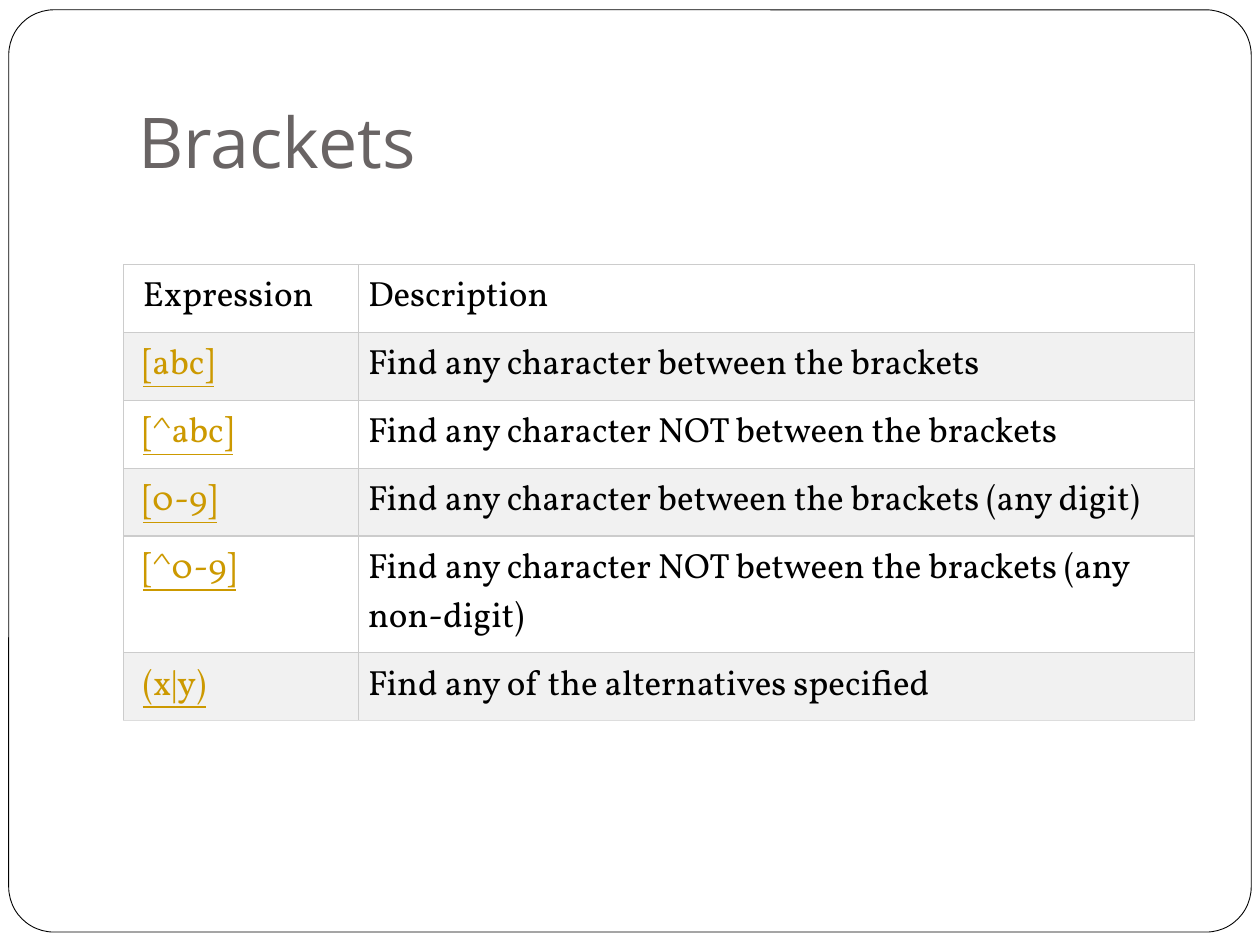
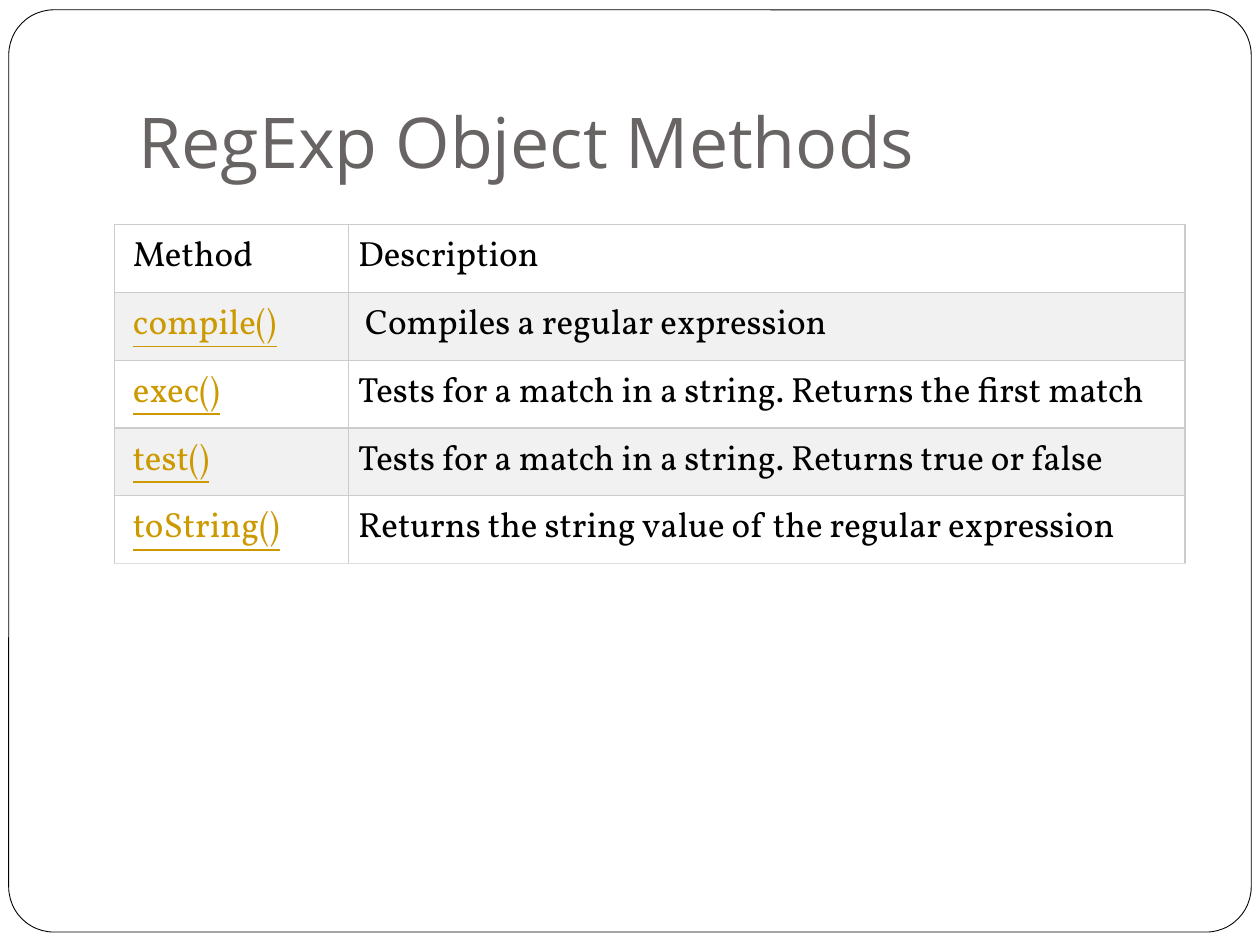
from dataclasses import dataclass

from lxml.etree import SubElement
from pptx import Presentation
from pptx.dml.color import RGBColor
from pptx.enum.shapes import MSO_SHAPE as Shape
from pptx.enum.text import MSO_ANCHOR as Anchor
from pptx.oxml.ns import qn
from pptx.slide import Slide
from pptx.table import _Cell as Cell
from pptx.text.text import TextFrame
from pptx.util import Pt

# Shared look
WHITE = RGBColor(0xFF, 0xFF, 0xFF)
BLACK = RGBColor(0x00, 0x00, 0x00)
TITLE_GREY = RGBColor(0x69, 0x64, 0x64)
LINK_GOLD = RGBColor(0xCC, 0x99, 0x00)
BAND_GREY = RGBColor(0xF1, 0xF1, 0xF1)
BORDER_GREY = RGBColor(0xCC, 0xCC, 0xCC)
BOTTOM_GREY = RGBColor(0xDD, 0xDD, 0xDD)
TITLE_FONT = "Open Sans"
BODY_FONT = "Vollkorn"

# Table measures in points
COLUMN_WIDTHS = (134, 478)
ROW_HEIGHT = 38.8
EXTRA_LINE_HEIGHT = 28
LINE_CAPACITY = 55  # characters that fit on one description line
CELL_INSET = 5.04
DESCRIPTION_INSET = 5.5
FIRST_COLUMN_INSET = 10.8
BORDER_WIDTH = 0.75


@dataclass(frozen=True)
class TextStyle:
    font: str
    size: float
    color: RGBColor
    underline: bool = False


@dataclass(frozen=True)
class ReferenceSlide:
    title: str
    table_left: float
    table_top: float
    header: tuple[str, str]
    entries: tuple[tuple[str, str], ...]


TITLE_STYLE = TextStyle(TITLE_FONT, 40, TITLE_GREY)
BODY_STYLE = TextStyle(BODY_FONT, 20, BLACK)
LINK_STYLE = TextStyle(BODY_FONT, 20, LINK_GOLD, underline=True)

SLIDES = (
    ReferenceSlide(
        "Brackets", 70.8, 151.2, ("Expression", "Description"),
        (
            ("[abc]", "Find any character between the brackets"),
            ("[^abc]", "Find any character NOT between the brackets"),
            ("[0-9]", "Find any character between the brackets (any digit)"),
            ("[^0-9]", "Find any character NOT between the brackets (any non-digit)"),
            ("(x|y)", "Find any of the alternatives specified"),
        ),
    ),
    ReferenceSlide(
        "RegExp Object Methods", 65.2, 128.2, ("Method", "Description"),
        (
            ("compile()", "\u00a0Compiles a regular expression"),
            ("exec()", "Tests for a match in a string. Returns the first match"),
            ("test()", "Tests for a match in a string. Returns true or false"),
            ("toString()", "Returns the string value of the regular expression"),
        ),
    ),
)


def add_text(frame: TextFrame, text: str, style: TextStyle) -> None:
    run = frame.paragraphs[0].add_run()
    run.text = text
    run.font.name = style.font
    run.font.size = Pt(style.size)
    run.font.color.rgb = style.color
    run.font.underline = style.underline


def add_frame(slide: Slide) -> None:
    frame = slide.shapes.add_shape(
        Shape.ROUNDED_RECTANGLE, Pt(5), Pt(5.6), Pt(710), Pt(527))
    frame.adjustments[0] = 0.049
    frame.shadow.inherit = False
    frame.fill.solid()
    frame.fill.fore_color.rgb = WHITE
    frame.line.color.rgb = BLACK
    frame.line.width = Pt(0.5)


def add_title(slide: Slide, title: str) -> None:
    frame = slide.shapes.add_textbox(Pt(72), Pt(21.6), Pt(612), Pt(90)).text_frame
    frame.word_wrap = True
    frame.vertical_anchor = Anchor.BOTTOM
    frame.margin_left = frame.margin_right = frame.margin_bottom = Pt(7.2)
    frame.margin_top = Pt(3.6)
    add_text(frame, title, TITLE_STYLE)


def set_borders(cell: Cell, bottom: RGBColor) -> None:
    properties = cell._tc.get_or_add_tcPr()
    colors = {"L": BORDER_GREY, "R": BORDER_GREY, "T": BORDER_GREY, "B": bottom}
    for side, color in colors.items():
        line = SubElement(properties, qn(f"a:ln{side}"), w=str(Pt(BORDER_WIDTH)))
        fill = SubElement(line, qn("a:solidFill"))
        SubElement(fill, qn("a:srgbClr"), val=str(color))


def row_height(description: str) -> float:
    extra_lines = len(description) // LINE_CAPACITY
    return ROW_HEIGHT + extra_lines * EXTRA_LINE_HEIGHT


def add_reference_table(slide: Slide, content: ReferenceSlide) -> None:
    rows = (content.header, *content.entries)
    heights = [row_height(description) for _, description in rows]
    table = slide.shapes.add_table(
        len(rows), len(COLUMN_WIDTHS),
        Pt(content.table_left), Pt(content.table_top),
        Pt(sum(COLUMN_WIDTHS)), Pt(sum(heights))).table
    table.first_row = table.horz_banding = False
    for column, width in zip(table.columns, COLUMN_WIDTHS):
        column.width = Pt(width)
    for table_row, height in zip(table.rows, heights):
        table_row.height = Pt(height)

    for row_index, row in enumerate(rows):
        is_last = row_index == len(rows) - 1
        for column_index, text in enumerate(row):
            cell = table.cell(row_index, column_index)
            is_first_column = column_index == 0
            # Borders come before the fill in the cell properties
            set_borders(cell, BOTTOM_GREY if is_last else BORDER_GREY)
            cell.fill.solid()
            cell.fill.fore_color.rgb = BAND_GREY if row_index % 2 else WHITE
            cell.margin_top = cell.margin_right = cell.margin_bottom = Pt(CELL_INSET)
            cell.margin_left = Pt(
                FIRST_COLUMN_INSET if is_first_column else DESCRIPTION_INSET)
            is_link = is_first_column and row_index > 0
            add_text(cell.text_frame, text, LINK_STYLE if is_link else BODY_STYLE)


# Build the presentation
presentation = Presentation()
presentation.slide_width = Pt(720)
presentation.slide_height = Pt(540)
blank_layout = presentation.slide_layouts[6]

for content in SLIDES:
    slide = presentation.slides.add_slide(blank_layout)
    slide.background.fill.solid()
    slide.background.fill.fore_color.rgb = WHITE
    add_frame(slide)
    add_title(slide, content.title)
    add_reference_table(slide, content)

presentation.save("out.pptx")
